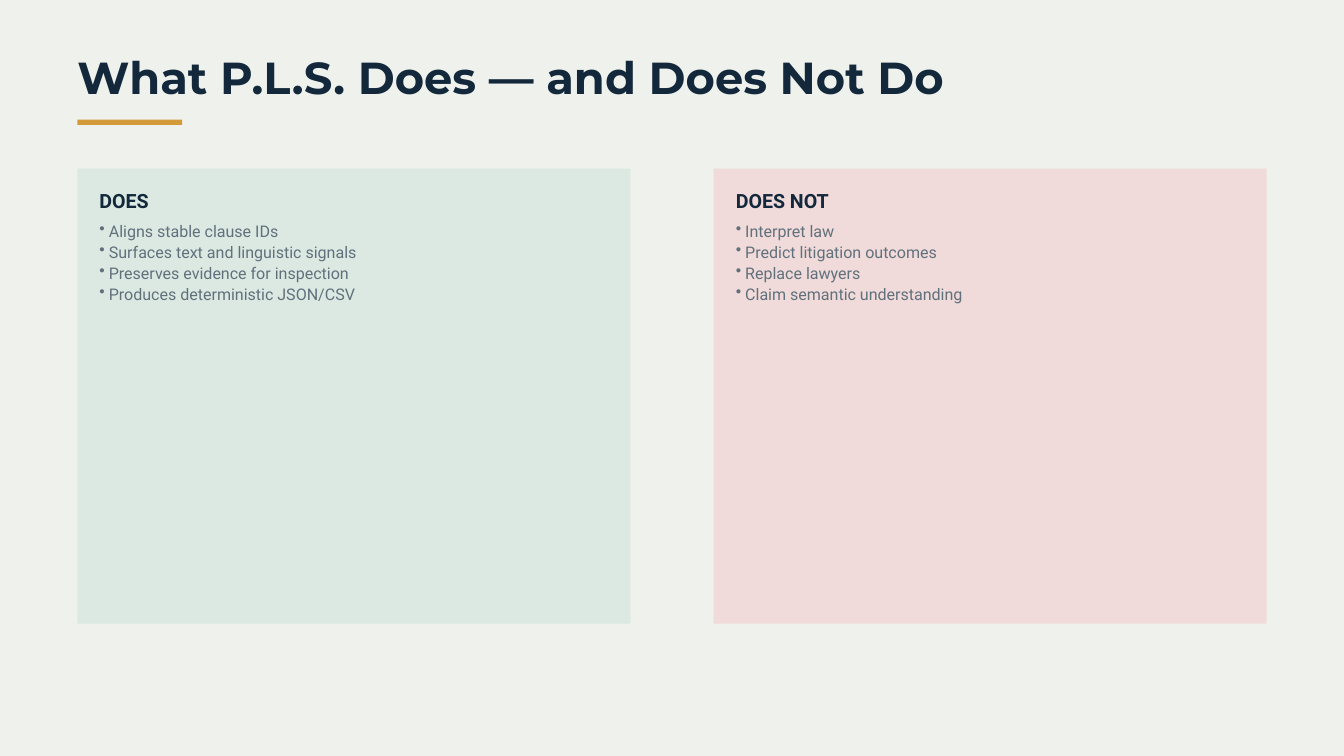
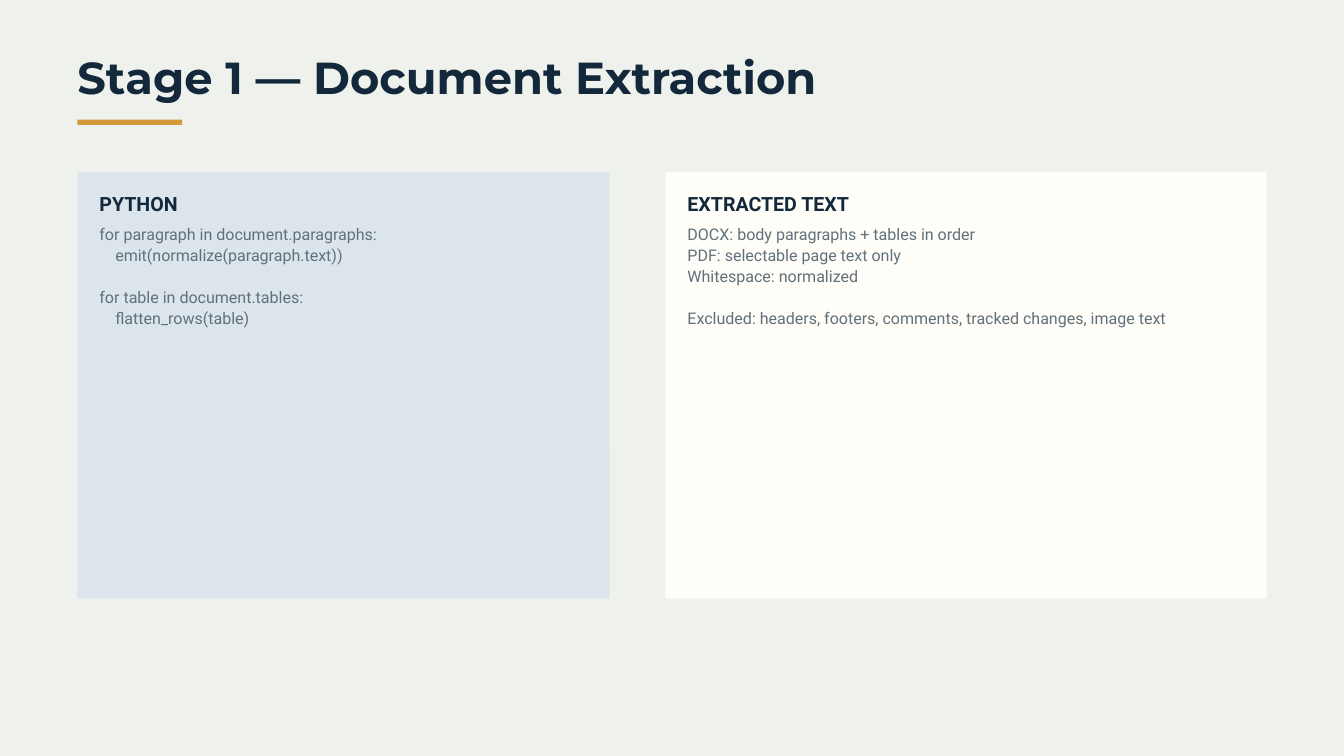
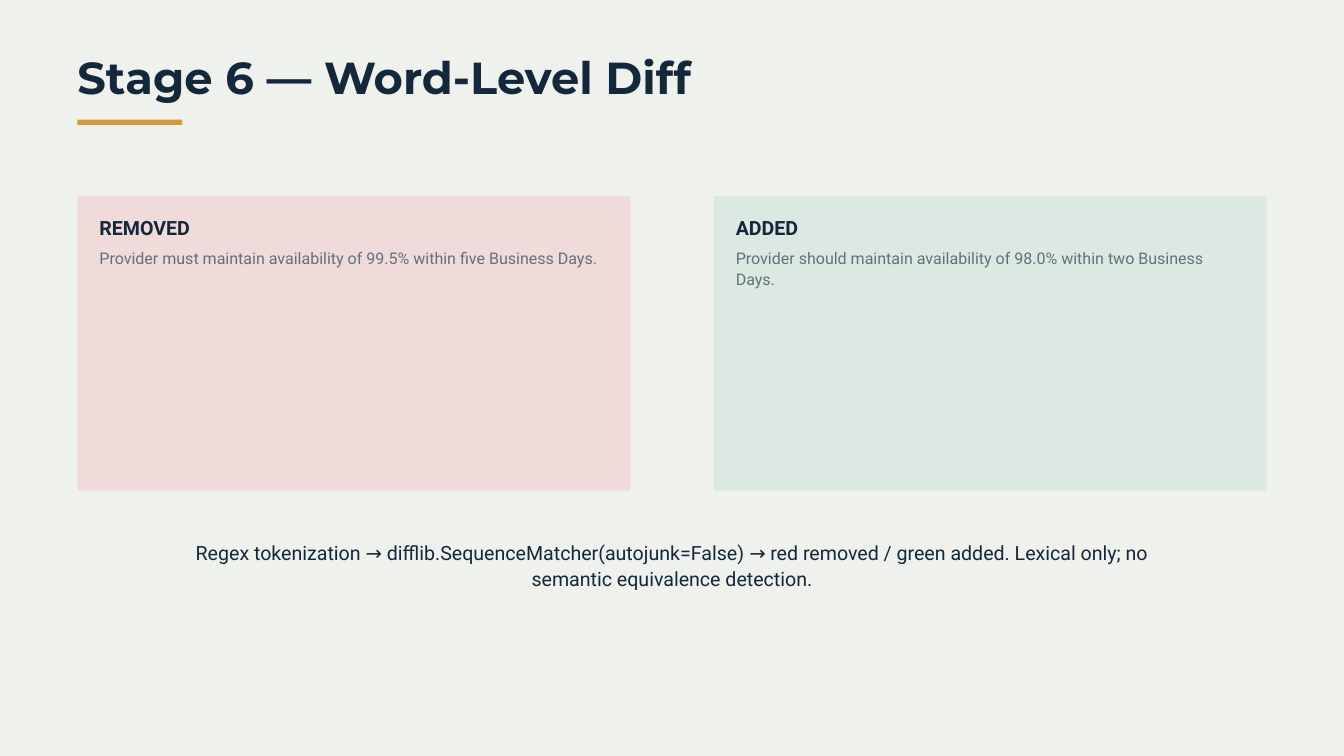
import pptx
import pptx.util
import pptx.dml.color
import pptx.enum.shapes
import pptx.enum.text
import pptx.oxml
import pptx.oxml.ns
from dataclasses import dataclass
from typing import NamedTuple

Inches = pptx.util.Inches
Pt = pptx.util.Pt
SHAPE = pptx.enum.shapes.MSO_SHAPE
ALIGN = pptx.enum.text.PP_ALIGN


class Style(NamedTuple):
    font: str
    size: float
    line: float
    color: str
    bold: bool = False


@dataclass(frozen=True)
class Theme:
    back: str = "EEF1EC"
    gold: str = "D49A3A"
    green: str = "DCE9E2"
    red: str = "F0DADA"
    blue: str = "DBE5EB"
    cream: str = "FFFDF7"
    title: Style = Style("Montserrat", 48, 51.8, "13283B", True)
    head: Style = Style("Roboto", 21, 28.4, "13283B", True)
    body: Style = Style("Roboto", 17.2, 22.4, "61717C")
    note: Style = Style("Roboto", 21, 28.4, "13283B")


THEME = Theme()
WIDTH, HEIGHT = 20, 11.25
EDGE = 1.15      # slide margin
PAD = 0.33       # panel text inset
RADIUS = 0.01    # panel corner
HANG = 0.14      # bullet indent


def rgb(code):
    return pptx.dml.color.RGBColor.from_string(code)


def add_box(slide, kind, x, y, w, h, color):
    box = slide.shapes.add_shape(kind, Inches(x), Inches(y), Inches(w), Inches(h))
    box.shadow.inherit = False
    box.fill.solid()
    box.fill.fore_color.rgb = rgb(color)
    box.line.fill.background()
    return box


def add_bullet(para):
    props = para._p.get_or_add_pPr()
    props.set("marL", str(Inches(HANG)))
    props.set("indent", str(-Inches(HANG)))
    mark = pptx.oxml.parse_xml(
        f'<a:buChar {pptx.oxml.ns.nsdecls("a")} char="•"/>')
    props.append(mark)


def add_text(slide, x, y, w, h, groups, style, align=ALIGN.LEFT, bullets=False):
    """Write groups of lines, with one line of space between groups."""
    box = slide.shapes.add_textbox(Inches(x), Inches(y), Inches(w), Inches(h))
    frame = box.text_frame
    frame.word_wrap = True
    frame.margin_left = frame.margin_right = 0
    frame.margin_top = frame.margin_bottom = 0
    lines = [line for group in groups for line in group]
    starts = [sum(map(len, groups[:i])) for i in range(1, len(groups))]
    frame.text = "\n".join(lines)
    for i, para in enumerate(frame.paragraphs):
        if bullets:
            add_bullet(para)
        para.alignment = align
        para.line_spacing = Pt(style.line)
        if i in starts:
            para.space_before = Pt(style.line)
        for run in para.runs:
            run.font.name = style.font
            run.font.size = Pt(style.size)
            run.font.bold = style.bold
            run.font.color.rgb = rgb(style.color)


def add_slide(deck, title):
    """Start a slide with the shared background, title and rule."""
    slide = deck.slides.add_slide(deck.slide_layouts[6])
    slide.background.fill.solid()
    slide.background.fill.fore_color.rgb = rgb(THEME.back)
    add_text(slide, EDGE, 0.82, 15.62, 0.73, [[title]], THEME.title)
    add_box(slide, SHAPE.RECTANGLE, EDGE, 1.78, 1.56, 0.08, THEME.gold)
    return slide


def add_panel(slide, x, y, w, h, color, head, groups, bullets=False):
    card = add_box(slide, SHAPE.ROUNDED_RECTANGLE, x, y, w, h, color)
    card.adjustments[0] = RADIUS / min(w, h)
    left, wide = x + PAD, w - 2 * PAD
    tall = (sum(map(len, groups)) + len(groups) - 1) * 0.3
    add_text(slide, left, y + 0.25, wide, 0.37, [[head]], THEME.head)
    add_text(slide, left, y + 0.76, wide, tall, groups, THEME.body,
             bullets=bullets)


def add_pair(slide, y, h, widths, first, second, bullets=False):
    """Set two panels against the left and right margins."""
    spots = (EDGE, WIDTH - EDGE - widths[1])
    for x, w, panel in zip(spots, widths, (first, second)):
        add_panel(slide, x, y, w, h, *panel, bullets=bullets)


def main():
    deck = pptx.Presentation()
    deck.slide_width, deck.slide_height = Inches(WIDTH), Inches(HEIGHT)
    even = (8.23, 8.23)

    # Scope
    slide = add_slide(deck, "What P.L.S. Does — and Does Not Do")
    add_pair(slide, 2.51, 6.77, even,
             (THEME.green, "DOES", [[
                 "Aligns stable clause IDs",
                 "Surfaces text and linguistic signals",
                 "Preserves evidence for inspection",
                 "Produces deterministic JSON/CSV"]]),
             (THEME.red, "DOES NOT", [[
                 "Interpret law",
                 "Predict litigation outcomes",
                 "Replace lawyers",
                 "Claim semantic understanding"]]),
             bullets=True)

    # Extraction
    slide = add_slide(deck, "Stage 1 — Document Extraction")
    add_pair(slide, 2.56, 6.35, (7.92, 8.95),
             (THEME.blue, "PYTHON", [
                 ["for paragraph in document.paragraphs:",
                  "    emit(normalize(paragraph.text))"],
                 ["for table in document.tables:",
                  "    flatten_rows(table)"]]),
             (THEME.cream, "EXTRACTED TEXT", [
                 ["DOCX: body paragraphs + tables in order",
                  "PDF: selectable page text only",
                  "Whitespace: normalized"],
                 ["Excluded: headers, footers, comments, tracked changes, "
                  "image text"]]))

    # Word diff
    slide = add_slide(deck, "Stage 6 — Word-Level Diff")
    add_pair(slide, 2.92, 4.38, even,
             (THEME.red, "REMOVED", [[
                 "Provider must maintain availability of 99.5% "
                 "within five Business Days."]]),
             (THEME.green, "ADDED", [[
                 "Provider should maintain availability of 98.0% "
                 "within two Business Days."]]))
    add_text(slide, 2.4, 8, 15.2, 0.76, [[
        "Regex tokenization → difflib.SequenceMatcher(autojunk=False) → "
        "red removed / green added. Lexical only; no semantic equivalence "
        "detection."]], THEME.note, ALIGN.CENTER)

    deck.save("out.pptx")


if __name__ == "__main__":
    main()
